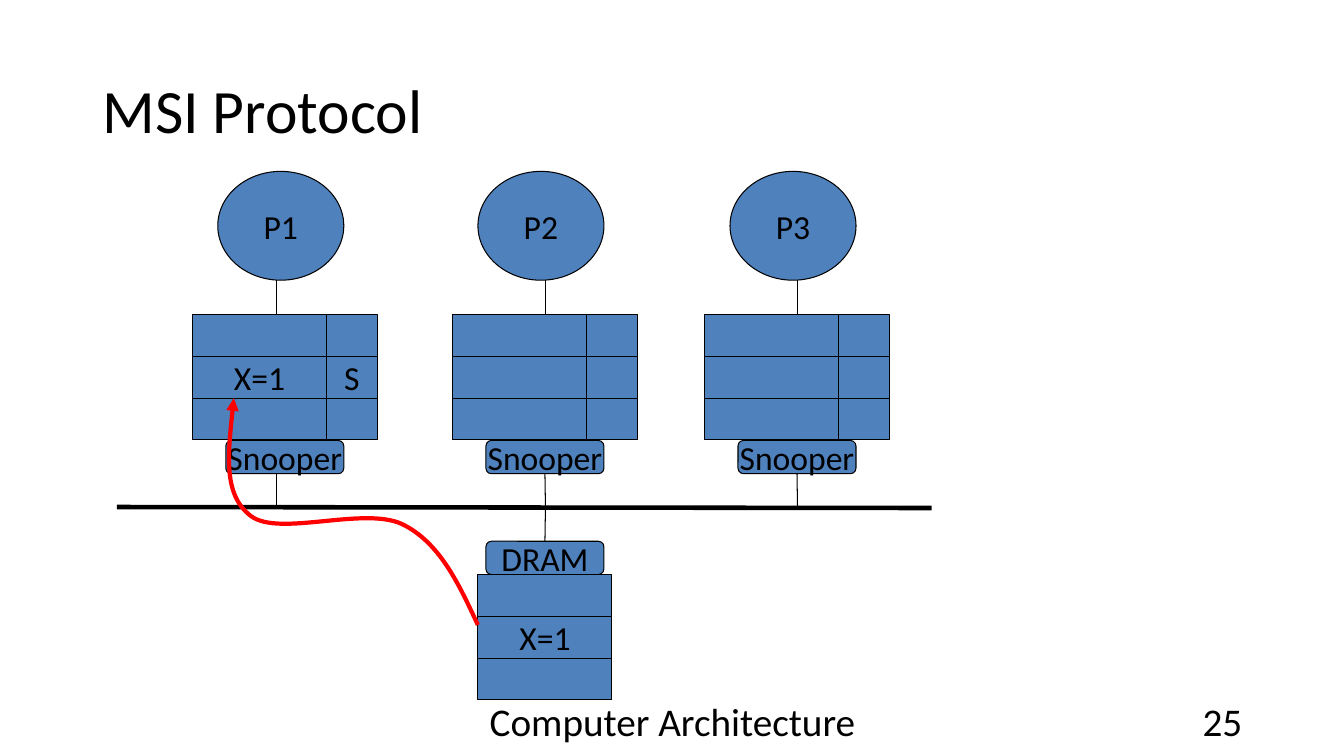
from dataclasses import dataclass

from lxml.etree import SubElement
from pptx import Presentation
from pptx.dml.color import RGBColor
from pptx.enum.shapes import MSO_CONNECTOR as CONN, MSO_SHAPE as SHAPE
from pptx.enum.text import MSO_ANCHOR as ANCHOR, PP_ALIGN as ALIGN
from pptx.oxml.ns import qn
from pptx.util import Inches, Pt


@dataclass(frozen=True)
class Theme:
    font: str = "Calibri"
    ink: RGBColor = RGBColor(0, 0, 0)
    fill: RGBColor = RGBColor(0x4F, 0x81, 0xBD)
    accent: RGBColor = RGBColor(0xFF, 0, 0)
    title: int = 44
    footer: int = 28
    label: int = 24
    thin: float = 0.75
    flow: float = 3
    bus: float = 3.25


class Diagram:
    def __init__(self, slide, theme):
        self.s = slide
        self.theme = theme

    def set_text(self, sp, text, size, align, wrap):
        tf = sp.text_frame
        tf.text = text
        tf.word_wrap = wrap
        tf.vertical_anchor = ANCHOR.MIDDLE
        p = tf.paragraphs[0]
        p.alignment = align
        font = p.runs[0].font
        font.name = self.theme.font
        font.size = Pt(size)
        font.color.rgb = self.theme.ink
        return p

    def text(self, x, y, w, h, text, size, align):
        sp = self.s.shapes.add_textbox(Inches(x), Inches(y), Inches(w), Inches(h))
        return self.set_text(sp, text, size, align, True)

    def box(self, kind, x, y, w, h, text=""):
        sp = self.s.shapes.add_shape(kind, Inches(x), Inches(y), Inches(w), Inches(h))
        sp.shadow.inherit = False
        sp.fill.solid()
        sp.fill.fore_color.rgb = self.theme.fill
        sp.line.color.rgb = self.theme.ink
        sp.line.width = Pt(self.theme.thin)
        if text:
            self.set_text(sp, text, self.theme.label, ALIGN.CENTER, False)
        return sp

    def controller(self, x, y, text):
        return self.box(SHAPE.ROUNDED_RECTANGLE, x, y, 1.17, 0.33, text)

    def cells(self, x, y, widths, middle):
        height = 0.415
        for row in range(3):
            left = x
            for width, text in zip(widths, middle):
                self.box(SHAPE.RECTANGLE, left, y + row * height, width, height,
                         text if row == 1 else "")
                left += width

    def line(self, x1, y1, x2, y2, width):
        c = self.s.shapes.add_connector(
            CONN.STRAIGHT, Inches(x1), Inches(y1), Inches(x2), Inches(y2))
        c.line.color.rgb = self.theme.ink
        c.line.width = Pt(width)
        SubElement(c._element.spPr, qn("a:effectLst"))
        return c

    def curved_arrow(self, points):
        start, *rest = [(Inches(x), Inches(y)) for x, y in points]
        builder = self.s.shapes.build_freeform(*start)
        builder.add_line_segments(rest, close=False)
        sp = builder.convert_to_shape()
        sp.shadow.inherit = False
        sp.fill.background()
        sp.line.color.rgb = self.theme.accent
        sp.line.width = Pt(self.theme.flow)
        SubElement(sp._element.spPr.find(qn("a:ln")), qn("a:tailEnd"), type="triangle")
        outline = sp._element.find(".//" + qn("a:path"))
        segments = outline.findall(qn("a:lnTo"))
        for i in range(0, len(segments), 3):
            curve = SubElement(outline, qn("a:cubicBezTo"))
            for segment in segments[i:i + 3]:
                curve.append(segment[0])
                outline.remove(segment)


def main():
    prs = Presentation()
    prs.slide_width, prs.slide_height = Inches(13.33), Inches(7.5)
    theme = Theme()
    d = Diagram(prs.slides.add_slide(prs.slide_layouts[6]), theme)

    title = d.text(0.92, 0.4, 11.5, 1.45, "MSI Protocol", theme.title, ALIGN.LEFT)
    title.line_spacing = 0.9
    d.text(4.42, 6.95, 4.5, 0.4, "Computer Architecture", theme.footer, ALIGN.CENTER)
    d.text(9.42, 6.95, 3, 0.4, "25", theme.footer, ALIGN.RIGHT)

    bus_y = 5.03
    d.line(1.16, bus_y, 9.24, 5.04, theme.bus)

    processors = [
        ("P1", 1.91, 2.74, ("X=1", "S")),
        ("P2", 4.49, 5.41, ("", "")),
        ("P3", 6.99, 7.91, ("", "")),
    ]
    for name, x, stem, middle in processors:
        d.box(SHAPE.OVAL, x + 0.25, 1.7, 1.25, 1.08, name)
        d.line(stem, 2.78, stem, 3.12, theme.thin)
        d.cells(x, 3.12, (1.33, 0.5), middle)
        snooper = d.controller(x + 0.33, 4.37, "Snooper")
        link = d.line(stem, 4.7, stem, bus_y, theme.thin)
        if name != "P1":
            link.begin_connect(snooper, 2)

    dram = d.controller(4.82, 5.37, "DRAM")
    d.line(5.41, bus_y, 5.41, 5.37, theme.thin).end_connect(dram, 0)
    d.cells(4.74, 5.7, (1.33,), ("X=1",))

    d.curved_arrow([
        (4.74, 6.2),
        (4.55, 5.79), (4.36, 5.38), (3.99, 5.2),
        (3.61, 5.02), (2.77, 5.33), (2.49, 5.12),
        (2.21, 4.91), (2.27, 4.43), (2.32, 3.95),
    ])
    prs.save("out.pptx")


if __name__ == "__main__":
    main()
